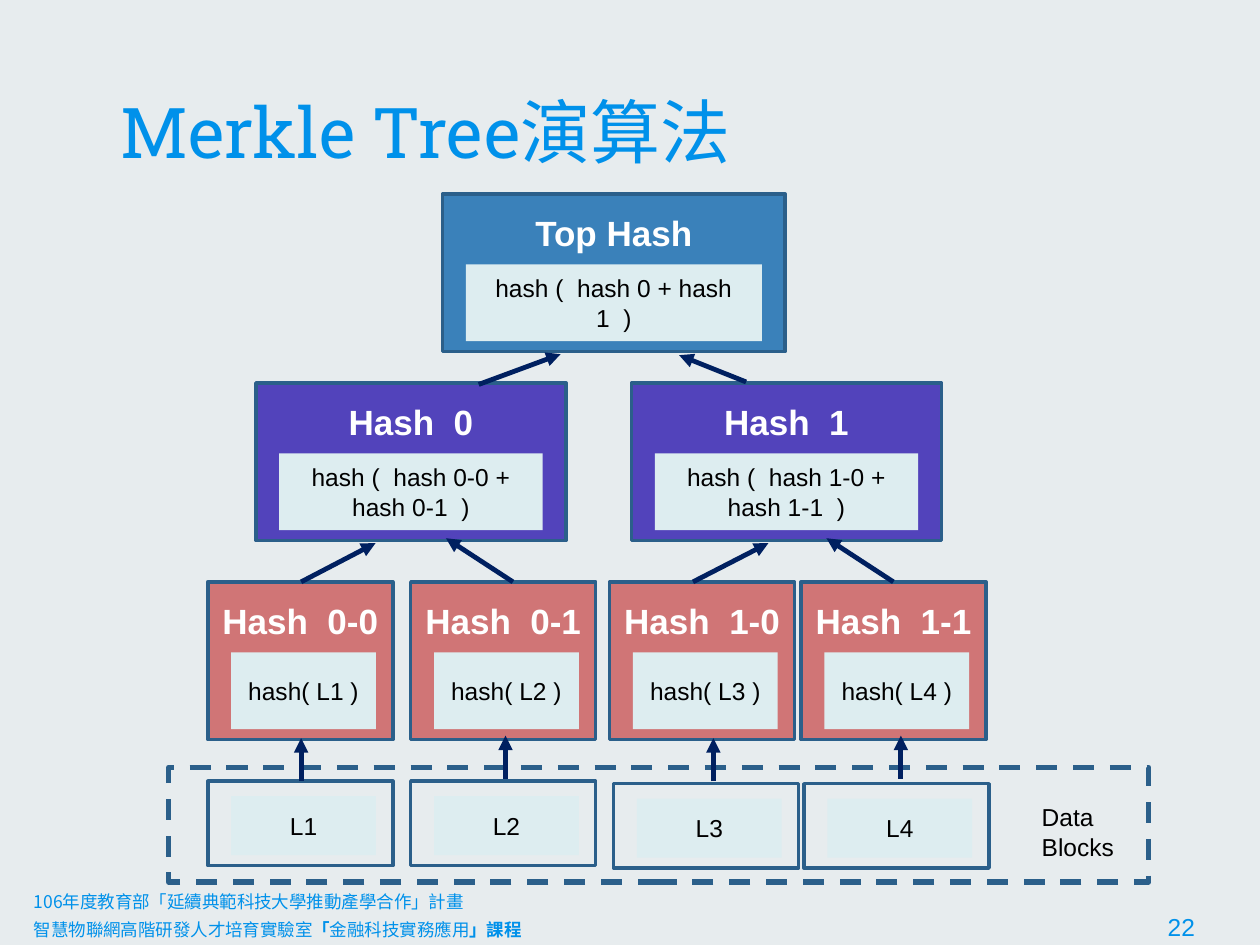
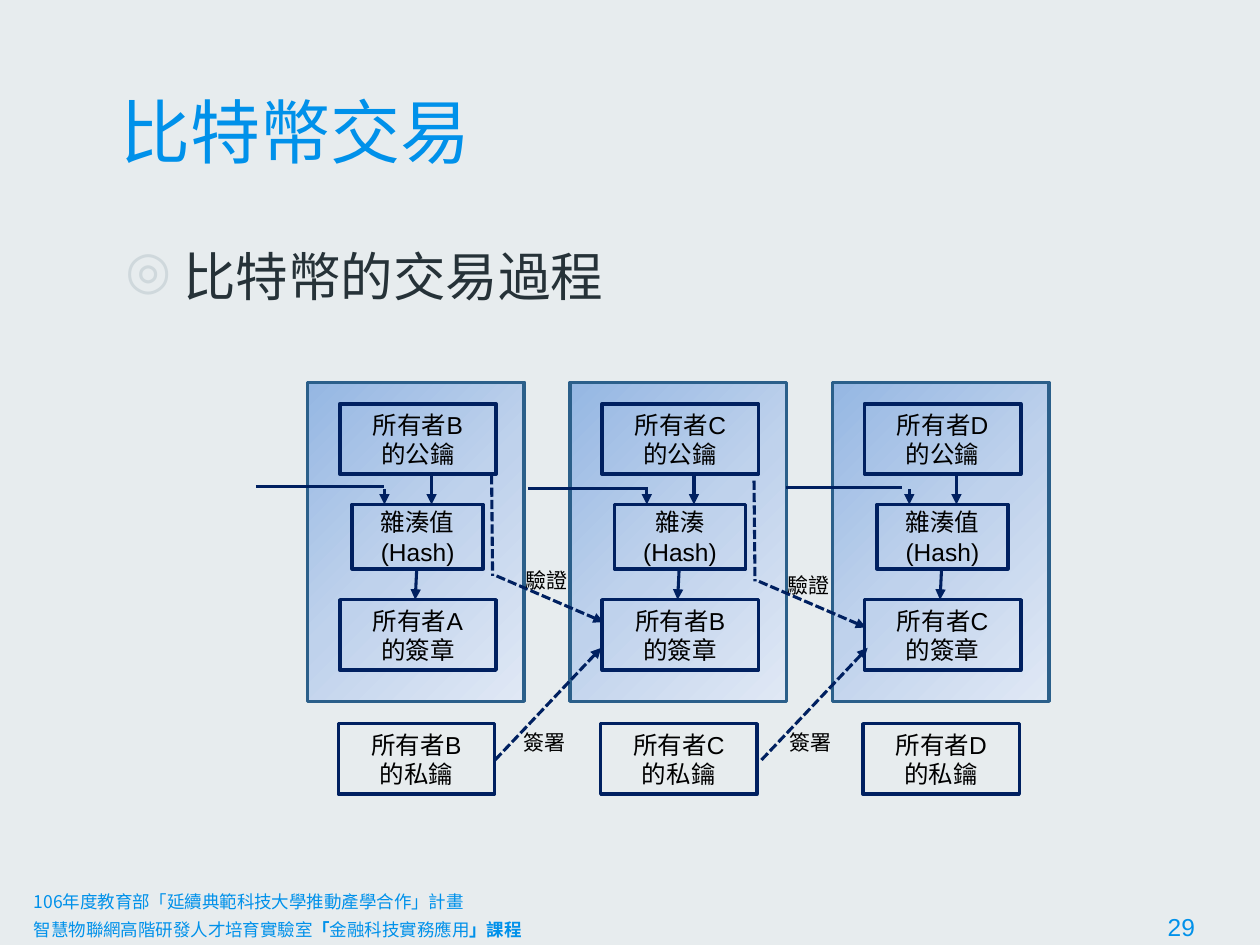
from copy import deepcopy

from lxml.etree import SubElement
from pptx import Presentation
from pptx.dml.color import RGBColor
from pptx.enum.dml import MSO_LINE
from pptx.enum.shapes import MSO_CONNECTOR, MSO_SHAPE
from pptx.enum.text import MSO_ANCHOR, PP_ALIGN
from pptx.oxml.ns import qn
from pptx.util import Cm, Pt

BACKGROUND, ACCENT, BULLET, BODY_TEXT = "E7ECEE", "0091EA", "CFD8DC", "263238"
BORDER, NAVY, PALE = "2B5F8A", "002060", "DDEDF0"
BLOCK_GRADIENT = ("95B7E3", "BFD2EC", "E0E8F5")
CJK_FONT = "Noto Sans CJK SC"

TITLE = dict(name="Roboto Slab", size=Pt(40), color=ACCENT)
BULLET_LINE = dict(name="Cabin", size=Pt(30), color=BODY_TEXT)
NODE_NAME = dict(name="Arial", size=Pt(20), bold=True, color="FFFFFF")
LABEL = dict(name="Arial", size=Pt(14), color="000000")
SMALL_LABEL = LABEL | dict(size=Pt(12))
FOOTER = dict(name=CJK_FONT, size=Pt(10), color=ACCENT)
FOOTER_BOLD = FOOTER | dict(bold=True)
PAGE_NUMBER = dict(name="Arial", size=Pt(14), color=ACCENT)

NODE_HEIGHT, LEAF_WIDTH, LEAF_FORMULA_WIDTH = 3.18, 3.73, 2.92
FORMULA_INDENT = 0.47
BLOCK_PITCH = 5.29


def rgb(hex_colour):
    return RGBColor.from_string(hex_colour)


def add_run(paragraph, text, text_format):
    run = paragraph.add_run()
    run.text = text
    for attribute, value in text_format.items():
        if attribute == "color":
            run.font.color.rgb = rgb(value)
        else:
            setattr(run.font, attribute, value)
    SubElement(run.font._element, qn("a:ea"), typeface=CJK_FONT)


def write(frame, text, text_format, align=PP_ALIGN.LEFT, **frame_format):
    for attribute, value in frame_format.items():
        setattr(frame, attribute, value)
    for index, line in enumerate(text.split("\n")):
        paragraph = frame.paragraphs[0] if index == 0 else frame.add_paragraph()
        paragraph.alignment = align
        add_run(paragraph, line, text_format)


def add_text(slide, place, text, text_format, inset=None, **frame_format):
    frame = slide.shapes.add_textbox(*map(Cm, place)).text_frame
    frame_format = dict(word_wrap=True) | frame_format
    if inset is not None:
        for side in ("left", "top", "right", "bottom"):
            frame_format[f"margin_{side}"] = Cm(inset)
    write(frame, text, text_format, **frame_format)
    return frame


def add_box(slide, place, fill=None, border=None, weight=2, dash=None):
    """Draw a rectangle; a tuple as fill gives a diagonal gradient."""
    box = slide.shapes.add_shape(MSO_SHAPE.RECTANGLE, *map(Cm, place))
    box.shadow.inherit = False
    if fill is None:
        box.fill.background()
    elif isinstance(fill, tuple):
        fill_gradient(box, fill)
    else:
        box.fill.solid()
        box.fill.fore_color.rgb = rgb(fill)
    if border is None:
        box.line.fill.background()
    else:
        box.line.color.rgb = rgb(border)
        box.line.width = Pt(weight)
        box.line.dash_style = dash
    return box


def fill_gradient(box, colours):
    box.fill.gradient()
    box.fill.gradient_angle = 315
    stop_list = box.element.spPr.find(".//" + qn("a:gsLst"))
    stop_list.insert(1, deepcopy(stop_list[0]))
    for index, (stop, colour) in enumerate(zip(box.fill.gradient_stops, colours)):
        stop.color.rgb = rgb(colour)
        stop.position = index / (len(colours) - 1)


def add_label_box(slide, place, text, **box_format):
    box = add_box(slide, place, **box_format)
    write(box.text_frame, text, LABEL, PP_ALIGN.CENTER,
          vertical_anchor=MSO_ANCHOR.MIDDLE, word_wrap=True)


def add_line(slide, ends, weight=1.75, arrow=True, dash=None):
    connector = slide.shapes.add_connector(MSO_CONNECTOR.STRAIGHT, *map(Cm, ends))
    connector.line.color.rgb = rgb(NAVY)
    connector.line.width = Pt(weight)
    connector.line.dash_style = dash
    properties = connector.element.spPr
    if arrow:
        SubElement(properties.find(qn("a:ln")), qn("a:tailEnd"), type="triangle")
    SubElement(properties, qn("a:effectLst"))


def add_page(deck, title, number):
    """Add a slide with its title and the course footer."""
    slide = deck.slides.add_slide(deck.slide_layouts[6])
    add_text(slide, (2.18, 1.14, 21.03, 2.59), title, TITLE, inset=0.25,
             vertical_anchor=MSO_ANCHOR.BOTTOM)
    footer = add_text(slide, (0.43, 17.83, 24.54, 1.02),
                      "106年度教育部「延續典範科技大學推動產學合作」計畫", FOOTER)
    course = footer.add_paragraph()
    for text, text_format in (
        ("智慧物聯網高階研發人才培育實驗室", FOOTER),
        ("「", FOOTER_BOLD),
        ("金融科技實務應用", FOOTER),
        ("」課程", FOOTER_BOLD),
        (f"\t{number}", PAGE_NUMBER),
    ):
        add_run(course, text, text_format)
    tabs = SubElement(course._p.get_or_add_pPr(), qn("a:tabLst"))
    SubElement(tabs, qn("a:tab"), pos=str(Cm(22.86)), algn="l")
    return slide


def add_bullet_line(slide, text):
    frame = add_text(slide, (2.18, 4.67, 21.03, 13.23), text, BULLET_LINE, inset=0.25)
    paragraph = frame.paragraphs[0]
    paragraph.space_before = Pt(6)
    properties = paragraph._p.get_or_add_pPr()
    properties.set("marL", str(Cm(1.27)))
    properties.set("indent", str(Cm(-1.17)))
    colour = SubElement(properties, qn("a:buClr"))
    SubElement(colour, qn("a:srgbClr"), val=BULLET)
    SubElement(properties, qn("a:buChar"), char="◎")


def add_hash_node(slide, left, top, width, formula_width, colour, name, formula):
    node = add_box(slide, (left, top, width, NODE_HEIGHT), colour, BORDER)
    write(node.text_frame, name, NODE_NAME, PP_ALIGN.CENTER, word_wrap=True,
          vertical_anchor=MSO_ANCHOR.TOP, margin_top=Cm(0.36))
    add_label_box(slide, (left + FORMULA_INDENT, top + 1.42, formula_width, 1.55),
                  formula, fill=PALE)


def add_data_block(slide, left, top, name):
    add_box(slide, (left, top, LEAF_WIDTH, 1.7), border=BORDER)
    add_label_box(slide, (left + FORMULA_INDENT, top + 0.3, LEAF_FORMULA_WIDTH, 1.19),
                  name, fill=PALE)


def build_merkle_tree(deck):
    slide = add_page(deck, "Merkle Tree演算法", 22)
    levels = (
        (3.91, 6.91, 5.97, "3A81BA", (
            (8.92, "Top Hash", "hash (  hash 0 + hash 1  )"),)),
        (7.72, 6.25, 5.31, "5243BB", (
            (5.16, "Hash  0", "hash (  hash 0-0 + hash 0-1  )"),
            (12.73, "Hash  1", "hash (  hash 1-0 + hash 1-1  )"))),
        (11.73, LEAF_WIDTH, LEAF_FORMULA_WIDTH, "D07576", (
            (4.19, "Hash  0-0", "hash( L1 )"),
            (8.28, "Hash  0-1", "hash( L2 )"),
            (12.29, "Hash  1-0", "hash( L3 )"),
            (16.15, "Hash  1-1", "hash( L4 )"))),
    )
    for top, width, formula_width, colour, nodes in levels:
        for left, name, formula in nodes:
            add_hash_node(slide, left, top, width, formula_width, colour, name, formula)

    data_places = ((4.19, 15.75), (8.28, 15.75), (12.37, 15.8), (16.21, 15.8))
    for index, (left, top) in enumerate(data_places, start=1):
        add_data_block(slide, left, top, f"L{index}")
    add_box(slide, (3.4, 15.47, 19.76, 2.31), border=BORDER, weight=3, dash=MSO_LINE.DASH)
    add_text(slide, (20.75, 16.05, 1.98, 1.45), "Data\nBlocks", LABEL, word_wrap=False)

    data_to_leaf = [(x, foot, x, foot - 0.87) for x, foot in
                    ((6.07, 15.75), (10.19, 15.7), (14.38, 15.75), (18.16, 15.7))]
    leaf_to_branch = [(6.07, 11.73, 7.57, 10.95), (10.34, 11.73, 8.99, 10.85),
                      (13.97, 11.73, 15.49, 10.95), (18.01, 11.73, 16.66, 10.85)]
    branch_to_top = [(9.65, 7.75, 11.3, 7.14), (15.04, 7.7, 13.69, 7.16)]
    for ends in data_to_leaf + leaf_to_branch + branch_to_top:
        add_line(slide, ends, weight=2.75)


def add_transaction(slide, left, owner, signer, hash_name):
    add_box(slide, (left, 7.71, 4.37, 6.43), BLOCK_GRADIENT, BORDER)
    for indent, top, width, height, text in (
        (0.65, 8.14, 3.15, 1.42, f"所有者{owner}\n的公鑰"),
        (0.9, 10.17, 2.64, 1.3, f"{hash_name}(Hash)"),
        (0.65, 12.09, 3.15, 1.42, f"所有者{signer}\n的簽章"),
        (0.62, 14.59, 3.15, 1.42, f"所有者{owner}\n的私鑰"),
    ):
        add_label_box(slide, (left + indent, top, width, height), text, border=NAVY)
    for start, top, end, bottom in ((1.55, 9.86, 1.55, 10.17), (2.5, 9.58, 2.5, 10.17),
                                    (2.2, 11.48, 2.17, 12.09)):
        add_line(slide, (left + start, top, left + end, bottom))


def add_handover(slide, left, verify_drop, sign_shift):
    """Link a transaction to the next one by verifying and signing."""
    dash = MSO_LINE.SQUARE_DOT
    bend = 11.61 + verify_drop
    signing = left + sign_shift
    add_line(slide, (left + 3.71, 9.58 + verify_drop, left + 3.73, bend),
             arrow=False, dash=dash)
    add_line(slide, (left + 3.81, bend, left + 5.97, bend + 0.93), dash=dash)
    add_line(slide, (signing + 3.78, 15.32, signing + 5.92, 13.06), dash=dash)
    for x, y, text in ((left + 4.14, 11.31 + verify_drop, "驗證"),
                       (signing + 4.1, 14.58, "簽署")):
        add_text(slide, (x, y, 1.37, 0.76), text, SMALL_LABEL, word_wrap=False)


def build_transactions(deck):
    slide = add_page(deck, "比特幣交易", 29)
    add_bullet_line(slide, "比特幣的交易過程")
    lefts = [6.2 + index * BLOCK_PITCH for index in range(3)]
    owners = (("B", "A", "雜湊值"), ("C", "B", "雜湊"), ("D", "C", "雜湊值"))
    for left, owner in zip(lefts, owners):
        add_transaction(slide, left, *owner)
    for start, end, y in ((5.16, 7.75, 9.8), (10.64, 13.06, 9.84), (15.85, 18.19, 9.83)):
        add_line(slide, (start, y, end, y), arrow=False)
    for left, verify_drop, sign_shift in zip(lefts, (0, 0.11), (0, 0.08)):
        add_handover(slide, left, verify_drop, sign_shift)


def main():
    deck = Presentation()
    deck.slide_width, deck.slide_height = Cm(25.4), Cm(19.05)
    backdrop = deck.slide_master.background.fill
    backdrop.solid()
    backdrop.fore_color.rgb = rgb(BACKGROUND)
    build_merkle_tree(deck)
    build_transactions(deck)
    deck.save("out.pptx")


if __name__ == "__main__":
    main()
